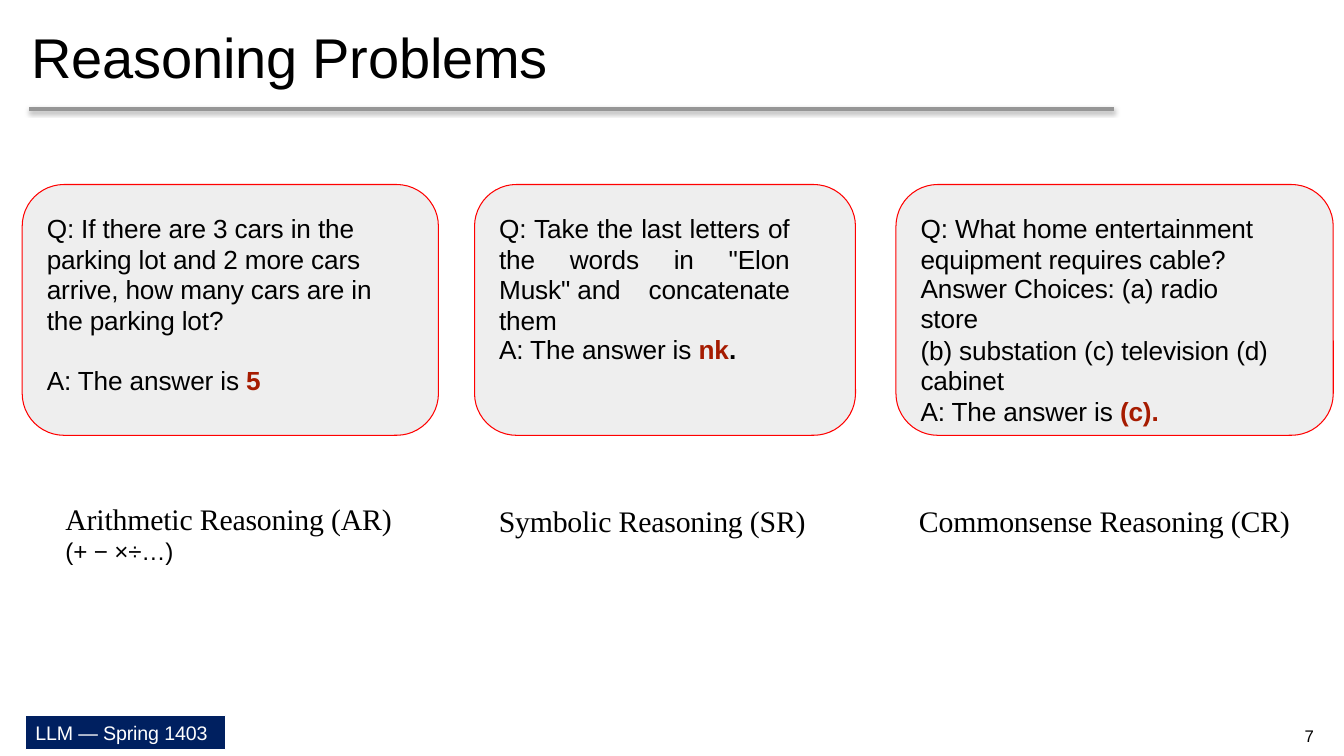
from lxml import etree
from pptx import Presentation
from pptx.dml.color import RGBColor
from pptx.enum.shapes import MSO_CONNECTOR, MSO_SHAPE as SHAPE
from pptx.enum.text import MSO_ANCHOR as ANCHOR, PP_ALIGN as ALIGN
from pptx.oxml.ns import qn
from pptx.util import Cm, Pt

COLORS = {
    "text": "000000",
    "answer": "A61B00",
    "card": "EEEEEE",
    "card_line": "FF0000",
    "rule": "969696",
    "footer": "002060",
    "white": "FFFFFF",
}
SANS, SERIF = "Arial", "Times New Roman"
NBSP = chr(160)
CARD_TOP, CARD_HEIGHT, CARD_PADDING = 4.65, 6.32, 0.62
QUESTION_TOP = 5.36

# Card left and width, question width and alignment, question paragraphs as
# (text, line spacing, space before), answer top, answer, rest of the answer
CARDS = [
    (0.56, 10.49, 8.31, ALIGN.LEFT,
     [("Q: If there are 3 cars in the parking lot and 2 more cars arrive, "
       "how many cars are in the parking lot?", 22, 0)],
     9.17, "5", ""),
    (11.96, 9.6, 7.32, ALIGN.JUSTIFY,
     [('Q: Take the last letters of the words in "Elon Musk"' + NBSP
       + "and concatenate them", 22, 0)],
     8.41, "nk", "."),
    (22.58, 11.02, 8.97, ALIGN.LEFT,
     [("Q: What home entertainment equipment requires cable?", 22, 0),
      ("Answer Choices: (a) radio store", 21.1, 0),
      ("(b) substation (c) television (d) cabinet", 22, 0.9)],
     9.96, "(c).", ""),
]
# Left, top, text
LABELS = [
    (1.65, 12.62, "Arithmetic Reasoning (AR)"),
    (12.57, 12.67, "Symbolic Reasoning (SR)"),
    (23.16, 12.67, "Commonsense Reasoning (CR)"),
]


def rgb(name):
    return RGBColor.from_string(COLORS[name])


def add_run(p, text, size=18.7, font=SANS, color="text", bold=False):
    r = p.add_run()
    r.text = text
    r.font.size = Pt(size)
    r.font.name = font
    r.font.bold = bold
    r.font.color.rgb = rgb(color)
    r.font._element.set("spc", "-10")


def add_paragraph(tf, text, align=ALIGN.LEFT, spacing=None, before=0, **fmt):
    """Fill the empty first paragraph, or append another one."""
    p = tf.paragraphs[0]
    if p.runs:
        p = tf.add_paragraph()
    p.alignment = align
    if spacing:
        p.line_spacing = Pt(spacing)
    if before:
        p.space_before = Pt(before)
    add_run(p, text, **fmt)
    return p


def add_textbox(slide, x, y, w, h, anchor=ANCHOR.TOP):
    tf = slide.shapes.add_textbox(Cm(x), Cm(y), Cm(w), Cm(h)).text_frame
    tf.word_wrap = True
    tf.vertical_anchor = anchor
    tf.margin_left = tf.margin_right = tf.margin_top = tf.margin_bottom = 0
    return tf


def add_box(slide, shape, x, y, w, h, fill, line):
    sp = slide.shapes.add_shape(shape, Cm(x), Cm(y), Cm(w), Cm(h))
    sp.shadow.inherit = False
    sp.fill.solid()
    sp.fill.fore_color.rgb = rgb(fill)
    sp.line.color.rgb = rgb(line)
    sp.line.width = Pt(0.75)
    return sp


def add_title(slide, text):
    tf = add_textbox(slide, 0.79, 0.1, 32.3, 2.64, ANCHOR.MIDDLE)
    add_paragraph(tf, text, size=40)


def add_rule(slide):
    """Draw the grey line under the title with its soft shadow."""
    rule = slide.shapes.add_connector(
        MSO_CONNECTOR.STRAIGHT, Cm(0.74), Cm(2.74), Cm(28.07), Cm(2.74))
    rule.line.color.rgb = rgb("rule")
    rule.line.width = Pt(3)
    effects = etree.SubElement(rule._element.spPr, qn("a:effectLst"))
    shadow = etree.SubElement(effects, qn("a:outerShdw"), blurRad="40000",
                              dist="23000", dir="5400000", rotWithShape="0")
    color = etree.SubElement(shadow, qn("a:srgbClr"), val=COLORS["text"])
    etree.SubElement(color, qn("a:alpha"), val="35000")


def add_card(slide, x, w, text_w, align, question, answer_top, answer, rest):
    add_box(slide, SHAPE.ROUNDED_RECTANGLE, x, CARD_TOP, w, CARD_HEIGHT,
            "card", "card_line")
    text_x = x + CARD_PADDING
    tf = add_textbox(slide, text_x, QUESTION_TOP, text_w, 3)
    for text, spacing, before in question:
        add_paragraph(tf, text, align, spacing, before)
    tf = add_textbox(slide, text_x, answer_top, text_w, 0.8)
    p = add_paragraph(tf, "A: The answer is ")
    add_run(p, answer, color="answer", bold=True)
    if rest:
        add_run(p, rest, bold=True)


def add_label(slide, x, y, text):
    tf = add_textbox(slide, x, y, 10, 0.9)
    add_paragraph(tf, text, size=21.3, font=SERIF)
    return tf


def add_footer(slide, text, number):
    sp = add_box(slide, SHAPE.RECTANGLE, 0.64, 18.03, 5.05, 0.86,
                 "footer", "white")
    tf = sp.text_frame
    tf.word_wrap = False
    add_paragraph(tf, text, size=14, color="white")
    tf = add_textbox(slide, 32.13, 18.03, 1.73, 1.02, ANCHOR.MIDDLE)
    add_paragraph(tf, number, ALIGN.CENTER, size=12)


def main():
    prs = Presentation()
    prs.slide_width, prs.slide_height = Cm(33.87), Cm(19.05)
    slide = prs.slides.add_slide(prs.slide_layouts[6])
    add_rule(slide)
    add_title(slide, "Reasoning Problems")
    for card in CARDS:
        add_card(slide, *card)
    arithmetic, *_ = [add_label(slide, *label) for label in LABELS]
    add_paragraph(arithmetic, "(+ − ×÷…)", size=17.3)
    add_footer(slide, "LLM — Spring 1403", "7")
    prs.save("out.pptx")


if __name__ == "__main__":
    main()
